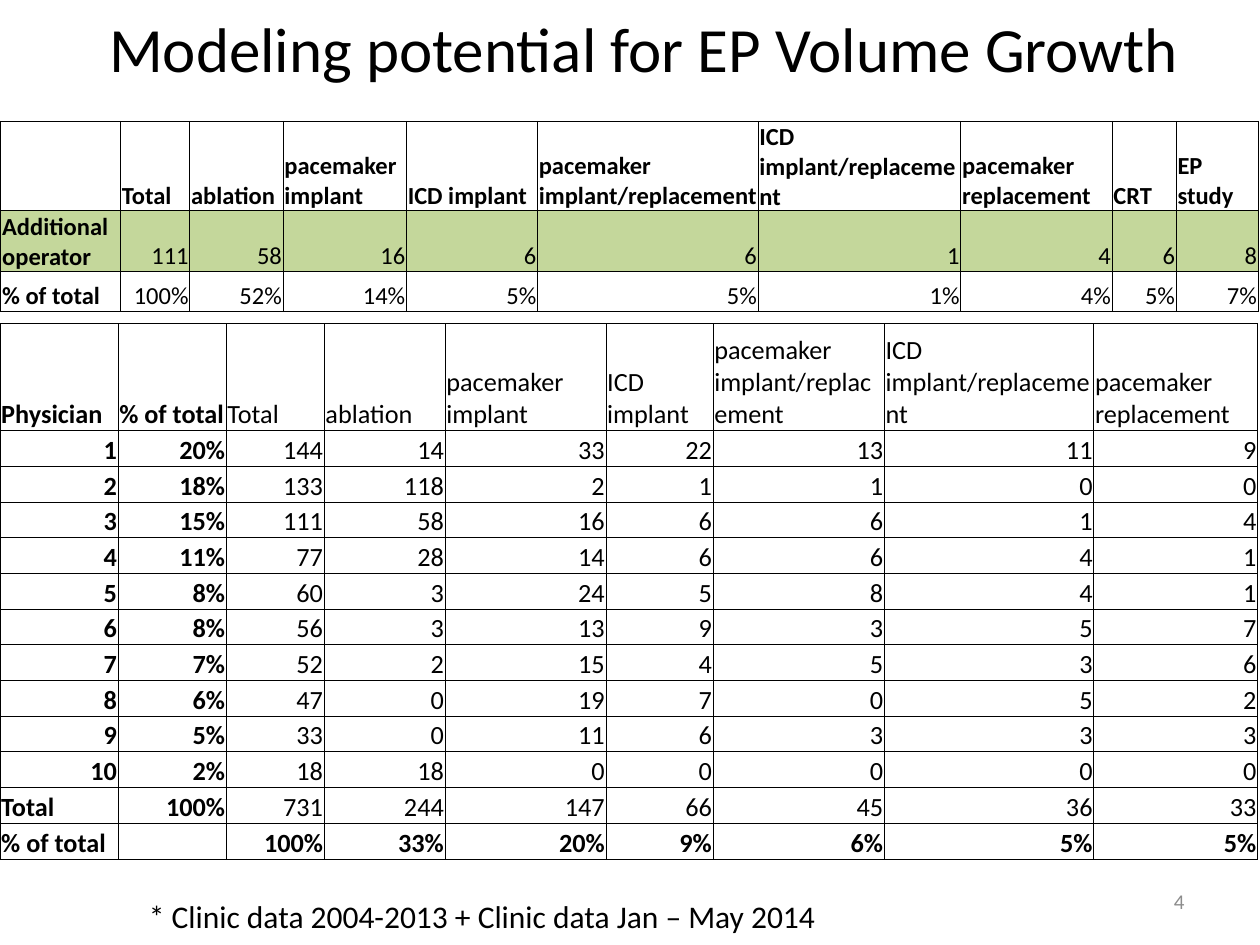
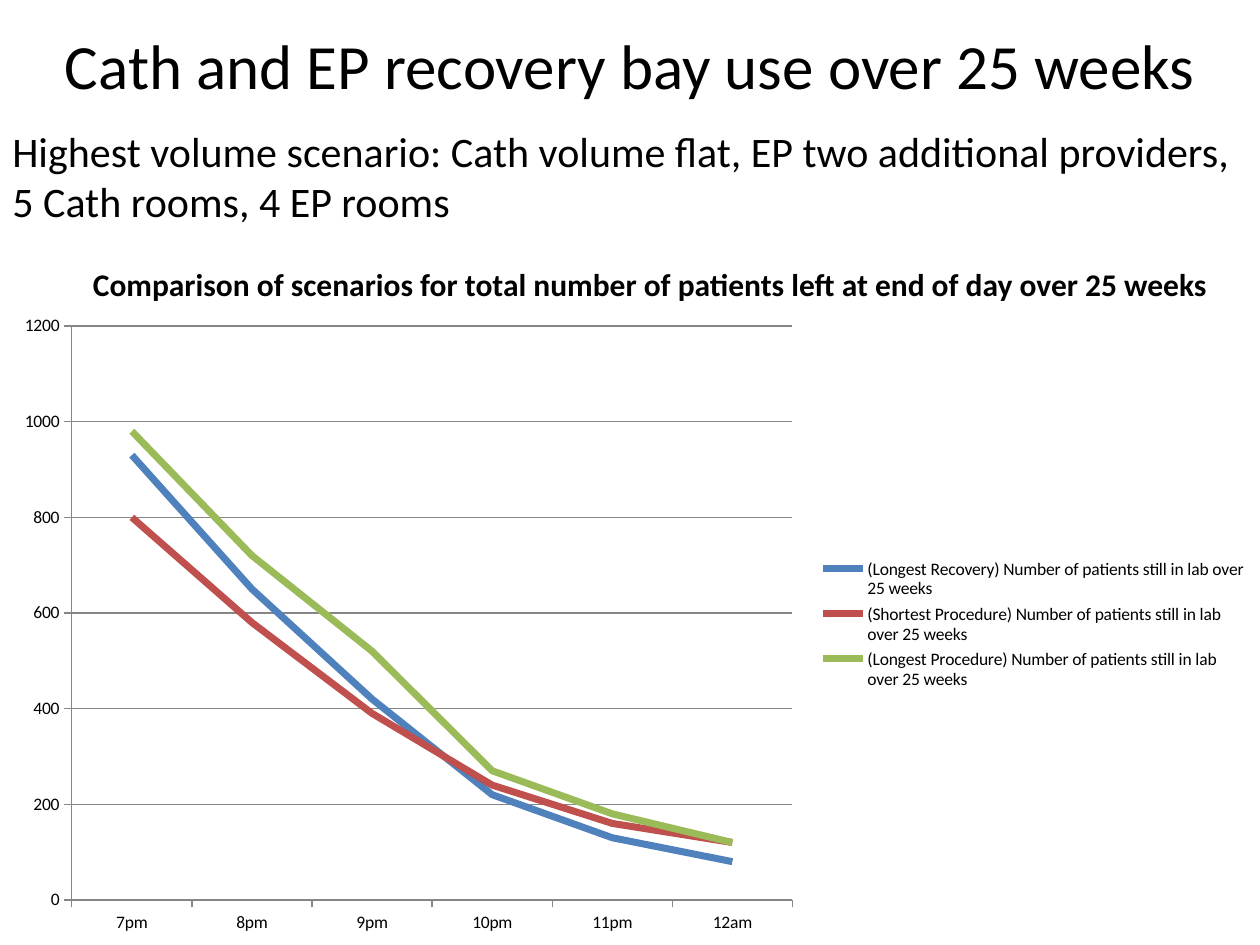
from lxml import etree
from pptx import Presentation
from pptx.chart import data as chart_data
from pptx.dml.color import RGBColor
from pptx.enum import chart as chart_enum, text as text_enum
from pptx.oxml import ns
from pptx.util import Pt

FONT = "Calibri"
BLACK = RGBColor(0, 0, 0)
PAGE_GRAY = RGBColor(0x8C, 0x8C, 0x8C)
AXIS_GRAY = RGBColor(0x86, 0x86, 0x86)
HIGHLIGHT = RGBColor(0xC4, 0xD7, 0x9B)
SERIES_COLORS = (RGBColor(0x4F, 0x81, 0xBD), RGBColor(0xC0, 0x50, 0x4D),
                 RGBColor(0x9B, 0xBB, 0x59))
LEFT, CENTER, RIGHT = (text_enum.PP_ALIGN.LEFT, text_enum.PP_ALIGN.CENTER,
                       text_enum.PP_ALIGN.RIGHT)
TOP, MIDDLE = text_enum.MSO_ANCHOR.TOP, text_enum.MSO_ANCHOR.MIDDLE
CELL_INSET = 0.72


def write(frame, content, size=18, bold=False, color=BLACK, align=LEFT):
    paragraph = frame.paragraphs[0]
    paragraph.alignment = align
    if not content:
        etree.SubElement(paragraph._p, ns.qn("a:endParaRPr"), sz=str(size * 100))
        return
    run = paragraph.add_run()
    run.text = content
    run.font.name = FONT
    run.font.size = Pt(size)
    run.font.bold = bold
    run.font.color.rgb = color


def add_text(slide, box, content, anchor=TOP, wrap=True, **style):
    frame = slide.shapes.add_textbox(*map(Pt, box)).text_frame
    frame.word_wrap = wrap
    frame.vertical_anchor = anchor
    write(frame, content, **style)


def add_title(slide, box, content):
    add_text(slide, box, content, anchor=MIDDLE, size=36, align=CENTER)


def draw_borders(cell):
    properties = cell._tc.get_or_add_tcPr()
    for index, side in enumerate(("lnL", "lnR", "lnT", "lnB")):
        line = etree.Element(ns.qn("a:" + side), w=str(Pt(0.5)))
        fill = etree.SubElement(line, ns.qn("a:solidFill"))
        etree.SubElement(fill, ns.qn("a:srgbClr"), val=str(BLACK))
        properties.insert(index, line)


def add_grid(slide, box, rows, widths, heights, size, is_bold, highlighted=()):
    table = slide.shapes.add_table(len(rows), len(widths), *map(Pt, box)).table
    table.first_row = table.horz_banding = False
    for column, width in zip(table.columns, widths):
        column.width = Pt(width)
    for r, (values, height) in enumerate(zip(rows, heights)):
        table.rows[r].height = Pt(height)
        for c, value in enumerate(values):
            cell = table.cell(r, c)
            cell.margin_left = cell.margin_right = cell.margin_top = Pt(CELL_INSET)
            cell.margin_bottom = 0
            cell.vertical_anchor = text_enum.MSO_ANCHOR.BOTTOM
            if r in highlighted:
                cell.fill.solid()
                cell.fill.fore_color.rgb = HIGHLIGHT
            else:
                cell.fill.background()
            draw_borders(cell)
            numeric = value[:1].isdigit()
            write(cell.text_frame, value, size=size, bold=is_bold(r, c),
                  align=RIGHT if numeric else LEFT)


def add_operator_table(slide, box):
    rows = [
        ["", "Total", "ablation", "pacemaker implant", "ICD implant",
         "pacemaker implant/replacement", "ICD implant/replacement",
         "pacemaker replacement", "CRT", "EP study"],
        ["Additional operator", *"111 58 16 6 6 1 4 6 8".split()],
        ["% of total", *"100% 52% 14% 5% 5% 1% 4% 5% 7%".split()],
    ]
    widths = (68.4, 39.6, 53.3, 70.5, 74.9, 126, 115.9, 86.4, 36.7, 46.8)
    add_grid(slide, box, rows, widths, (24.5, 23, 23), 14,
             lambda r, c: r == 0 or c == 0, highlighted=(1,))


def add_physician_table(slide, box):
    volumes = """20% 144 14 33 22 13 11 9
        18% 133 118 2 1 1 0 0
        15% 111 58 16 6 6 1 4
        11% 77 28 14 6 6 4 1
        8% 60 3 24 5 8 4 1
        8% 56 3 13 9 3 5 7
        7% 52 2 15 4 5 3 6
        6% 47 0 19 7 0 5 2
        5% 33 0 11 6 3 3 3
        2% 18 18 0 0 0 0 0""".splitlines()
    rows = [["Physician", "% of total", "Total", "ablation", "pacemaker implant",
             "ICD implant", "pacemaker implant/replacement",
             "ICD implant/replacement", "pacemaker replacement"]]
    rows += [[str(number), *line.split()] for number, line in enumerate(volumes, 1)]
    rows += [["Total", *"100% 731 244 147 66 45 36 33".split()],
             ["% of total", "", *"100% 33% 20% 9% 6% 5% 5%".split()]]
    widths = (67.5, 61.8, 56, 69.1, 91.9, 61.2, 97.9, 119.7, 93.6)
    heights = [61.2] + [20.4] * 11 + [20.9]
    last = len(rows) - 1
    add_grid(slide, box, rows, widths, heights, 15,
             lambda r, c: c < 2 or r == last)


def place(element, successors, inner=False, **fractions):
    for old in element.findall(ns.qn("c:layout")):
        element.remove(old)
    layout = etree.Element(ns.qn("c:layout"))
    manual = etree.SubElement(layout, ns.qn("c:manualLayout"))
    settings = {"layoutTarget": "inner"} if inner else {}
    settings.update(xMode="edge", yMode="edge", **fractions)
    for name, value in settings.items():
        etree.SubElement(manual, ns.qn("c:" + name), val=str(value))
    following = [child for child in element
                 if etree.QName(child).localname in successors]
    following[0].addprevious(layout)


def add_recovery_chart(slide, box):
    data = chart_data.CategoryChartData()
    data.categories = ["7pm", "8pm", "9pm", "10pm", "11pm", "12am"]
    for scenario, values in (
        ("Longest Recovery", (930, 650, 420, 220, 130, 80)),
        ("Shortest Procedure", (800, 580, 390, 240, 160, 120)),
        ("Longest Procedure", (980, 720, 520, 270, 180, 120)),
    ):
        data.add_series(f"({scenario}) Number of patients still in lab over 25 weeks",
                        values)
    chart = slide.shapes.add_chart(chart_enum.XL_CHART_TYPE.LINE,
                                   *map(Pt, box), data).chart
    chart.has_title = False
    chart.font.name = FONT
    chart.font.size = Pt(10)
    chart.font.color.rgb = BLACK
    plot = chart.plots[0]
    plot.vary_by_categories = False
    for series, color in zip(plot.series, SERIES_COLORS):
        series.smooth = False
        series.marker.style = chart_enum.XL_MARKER_STYLE.NONE
        series.format.line.color.rgb = color
        series.format.line.width = Pt(4)
    for axis in (chart.category_axis, chart.value_axis):
        axis.major_tick_mark = chart_enum.XL_TICK_MARK.OUTSIDE
        axis.format.line.color.rgb = AXIS_GRAY
        axis.format.line.width = Pt(0.75)
    axis = chart.value_axis
    axis.minimum_scale, axis.maximum_scale, axis.major_unit = 0, 1200, 200
    axis.has_major_gridlines = True
    axis.major_gridlines.format.line.color.rgb = AXIS_GRAY
    axis.major_gridlines.format.line.width = Pt(0.75)
    chart.has_legend = True
    chart.legend.position = chart_enum.XL_LEGEND_POSITION.RIGHT
    chart.legend.include_in_layout = False
    plot_area = chart._chartSpace.chart.plotArea
    place(plot_area, ("lineChart",), inner=True, x=0.057, y=0.035, w=0.572, h=0.895)
    place(chart.legend._element, ("overlay",), x=0.65, y=0.39, w=0.34, h=0.22)


def build_volume_slide(slide):
    add_text(slide, (516, 500.5, 168, 28.75), "4", anchor=MIDDLE, size=12,
             color=PAGE_GRAY, align=RIGHT)
    add_title(slide, (17.5, 0, 701, 54), "Modeling potential for EP Volume Growth")
    add_text(slide, (78, 509, 585, 29),
             "* Clinic data 2004-2013 + Clinic data Jan – May 2014")
    add_physician_table(slide, (0, 185, 718.7, 307.5))
    add_operator_table(slide, (0.5, 69.3, 718.5, 92))


def build_recovery_slide(slide):
    add_text(slide, (0, 68, 720, 65.5),
             "Highest volume scenario: Cath volume flat, EP two additional providers, "
             "5 Cath rooms, 4 EP rooms", size=24)
    add_title(slide, (0, 6, 720, 61), "Cath and EP recovery bay use over 25 weeks")
    add_recovery_chart(slide, (0, 173.5, 720, 366.5))
    add_text(slide, (46, 147.6, 660, 29),
             "Comparison of scenarios for total number of patients left at end of day "
             "over 25 weeks", wrap=False, bold=True)


presentation = Presentation()
presentation.slide_width, presentation.slide_height = Pt(720), Pt(540)
for build in (build_volume_slide, build_recovery_slide):
    build(presentation.slides.add_slide(presentation.slide_layouts[6]))
presentation.save("out.pptx")
